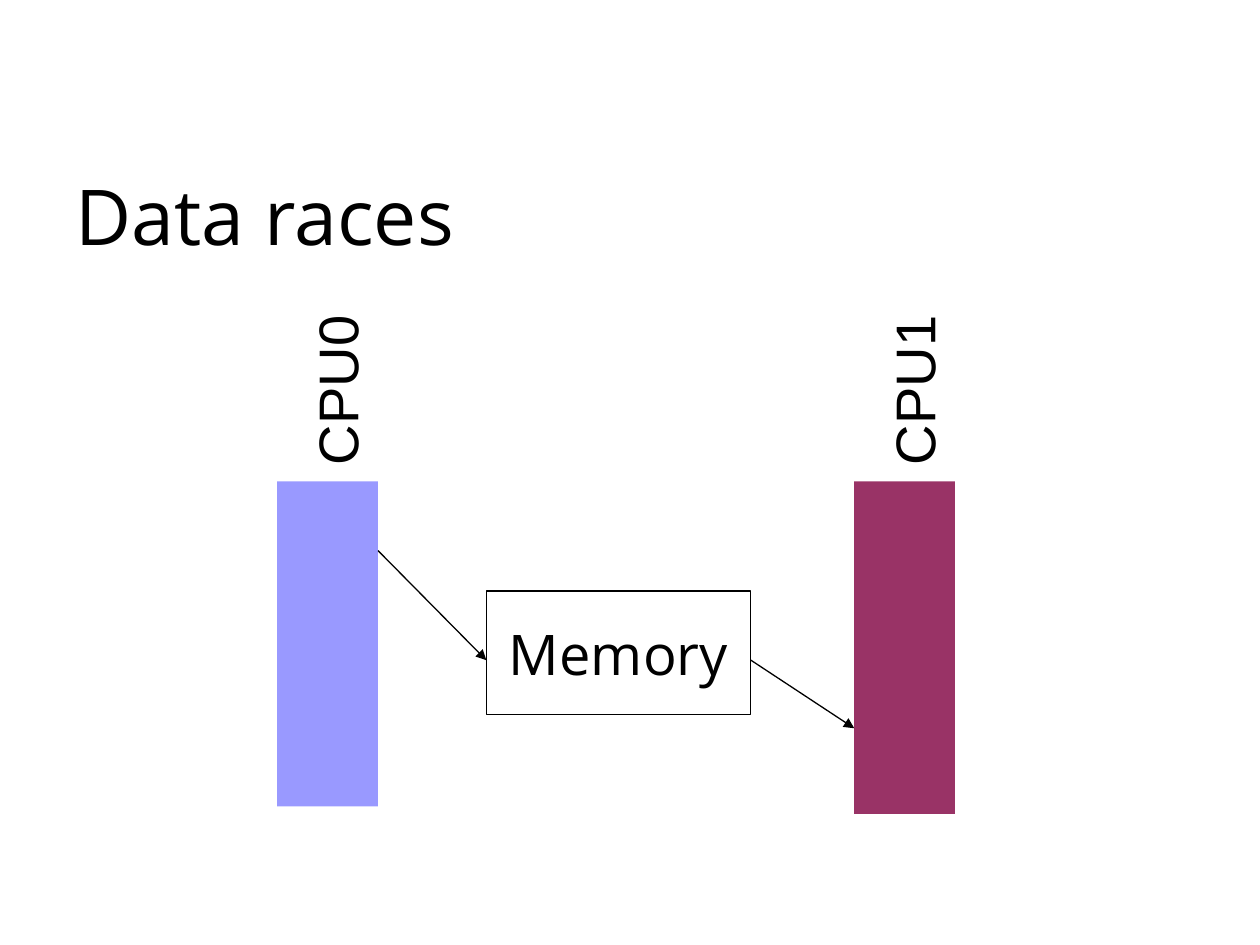
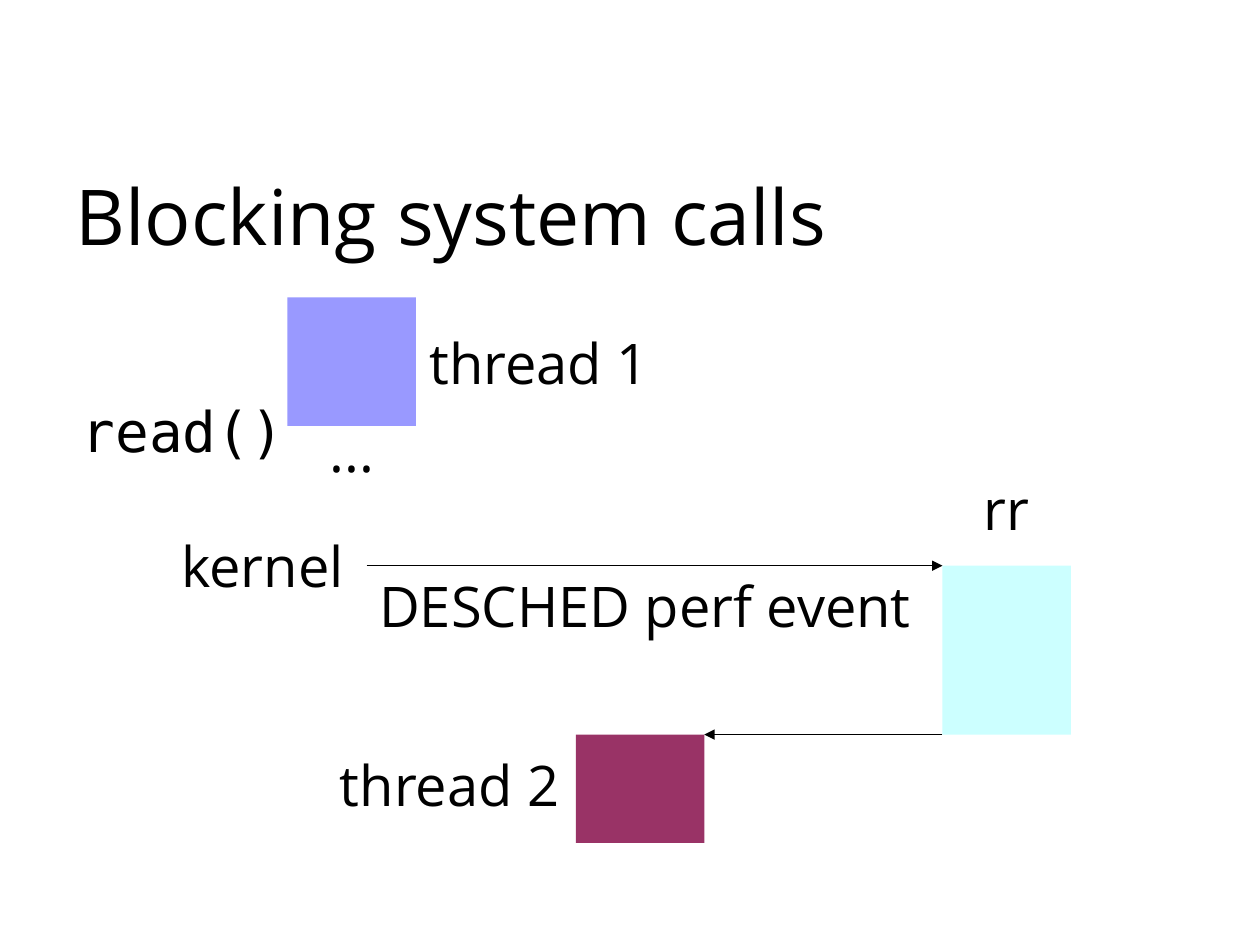
from dataclasses import dataclass
from lxml.etree import SubElement
from pptx import Presentation
from pptx.dml.color import RGBColor
from pptx.enum.shapes import MSO_CONNECTOR, MSO_SHAPE
from pptx.enum.text import MSO_ANCHOR, MSO_AUTO_SIZE, PP_ALIGN
from pptx.oxml.ns import qn
from pptx.util import Pt

EMU_PER_PX = 9144  # 100 px to the inch


@dataclass(frozen=True)
class Theme:
    ink: str = "000000"
    paper: str = "FFFFFF"
    first: str = "9999FF"
    second: str = "993366"
    recorder: str = "CCFFFF"
    font: str = "Open Sans"
    label_font: str = "Arial"
    code_font: str = "DejaVu Sans Mono"
    title_size: int = 44
    label_size: int = 32
    line_width: float = 0.75


T = Theme()
TITLE_BOX = (50, 115, 949, 110)

# Boxes are (left, top, width, height); arrows are (from x, from y, to x, to y)
SLIDES = [
    {
        "title": "Data races",
        "blocks": [((220, 382, 80, 258), T.first),
                   ((678, 382, 80, 264), T.second)],
        "labels": [("CPU0", (194, 278, 142, 60), T.label_font, 270),
                   ("CPU1", (652, 278, 142, 60), T.label_font, 270)],
        "outlined": [("Memory", (386, 469, 210, 98))],
        "arrows": [(300, 437, 386, 524), (596, 524, 678, 578)],
    },
    {
        "title": "Blocking system calls",
        "blocks": [((748, 449, 102, 134), T.recorder),
                   ((228, 236, 102, 102), T.first),
                   ((457, 583, 102, 86), T.second)],
        "labels": [("read()", (55, 310, 291, 62), T.code_font, 0),
                   ("...", (252, 326, 102, 70), T.font, 0),
                   ("kernel", (134, 417, 197, 70), T.font, 0),
                   ("DESCHED perf event", (291, 449, 488, 70), T.font, 0),
                   ("rr", (771, 372, 64, 84), T.font, 0),
                   ("thread 2", (260, 591, 197, 70), T.font, 0),
                   ("thread 1", (331, 256, 197, 70), T.font, 0)],
        "outlined": [],
        "arrows": [(291, 449, 748, 449), (748, 583, 559, 583)],
    },
]


def px(values):
    return [v * EMU_PER_PX for v in values]


def rgb(code):
    return RGBColor.from_string(code)


def write(tf, text, font=T.font, size=T.label_size, align=PP_ALIGN.LEFT,
          anchor=MSO_ANCHOR.TOP, wrap=True):
    tf.word_wrap = wrap
    tf.auto_size = MSO_AUTO_SIZE.NONE
    tf.vertical_anchor = anchor
    p = tf.paragraphs[0]
    p.alignment = align
    r = p.add_run()
    r.text = text
    r.font.name = font
    r.font.size = Pt(size)
    r.font.color.rgb = rgb(T.ink)


def add_block(s, box, fill, outlined=False):
    sp = s.shapes.add_shape(MSO_SHAPE.RECTANGLE, *px(box))
    sp.shadow.inherit = False
    sp.fill.solid()
    sp.fill.fore_color.rgb = rgb(fill)
    if outlined:
        sp.line.color.rgb = rgb(T.ink)
        sp.line.width = Pt(T.line_width)
    else:
        sp.line.fill.background()
    return sp


def add_label(s, text, box, font, rotation):
    sp = s.shapes.add_textbox(*px(box))
    sp.rotation = rotation
    write(sp.text_frame, text, font)


def add_arrow(s, ends):
    cx = s.shapes.add_connector(MSO_CONNECTOR.STRAIGHT, *px(ends))
    cx.line.color.rgb = rgb(T.ink)
    cx.line.width = Pt(T.line_width)
    SubElement(cx.line._get_or_add_ln(), qn("a:tailEnd"), type="triangle")
    SubElement(cx._element.spPr, qn("a:effectLst"))


def build_slide(prs, layout, content):
    s = prs.slides.add_slide(layout)
    write(s.shapes.title.text_frame, content["title"], size=T.title_size,
          anchor=MSO_ANCHOR.MIDDLE)
    for box, fill in content["blocks"]:
        add_block(s, box, fill)
    for label in content["labels"]:
        add_label(s, *label)
    for text, box in content["outlined"]:
        sp = add_block(s, box, T.paper, outlined=True)
        write(sp.text_frame, text, align=PP_ALIGN.CENTER,
              anchor=MSO_ANCHOR.MIDDLE, wrap=False)
    for ends in content["arrows"]:
        add_arrow(s, ends)


def main():
    prs = Presentation()
    prs.slide_width, prs.slide_height = px((1000, 750))

    # Shared title position, set once on the layout
    layout = prs.slide_layouts.get_by_name("Title Only")
    title = layout.placeholders[0]
    title.left, title.top, title.width, title.height = px(TITLE_BOX)

    for content in SLIDES:
        build_slide(prs, layout, content)
    prs.save("out.pptx")


if __name__ == "__main__":
    main()
